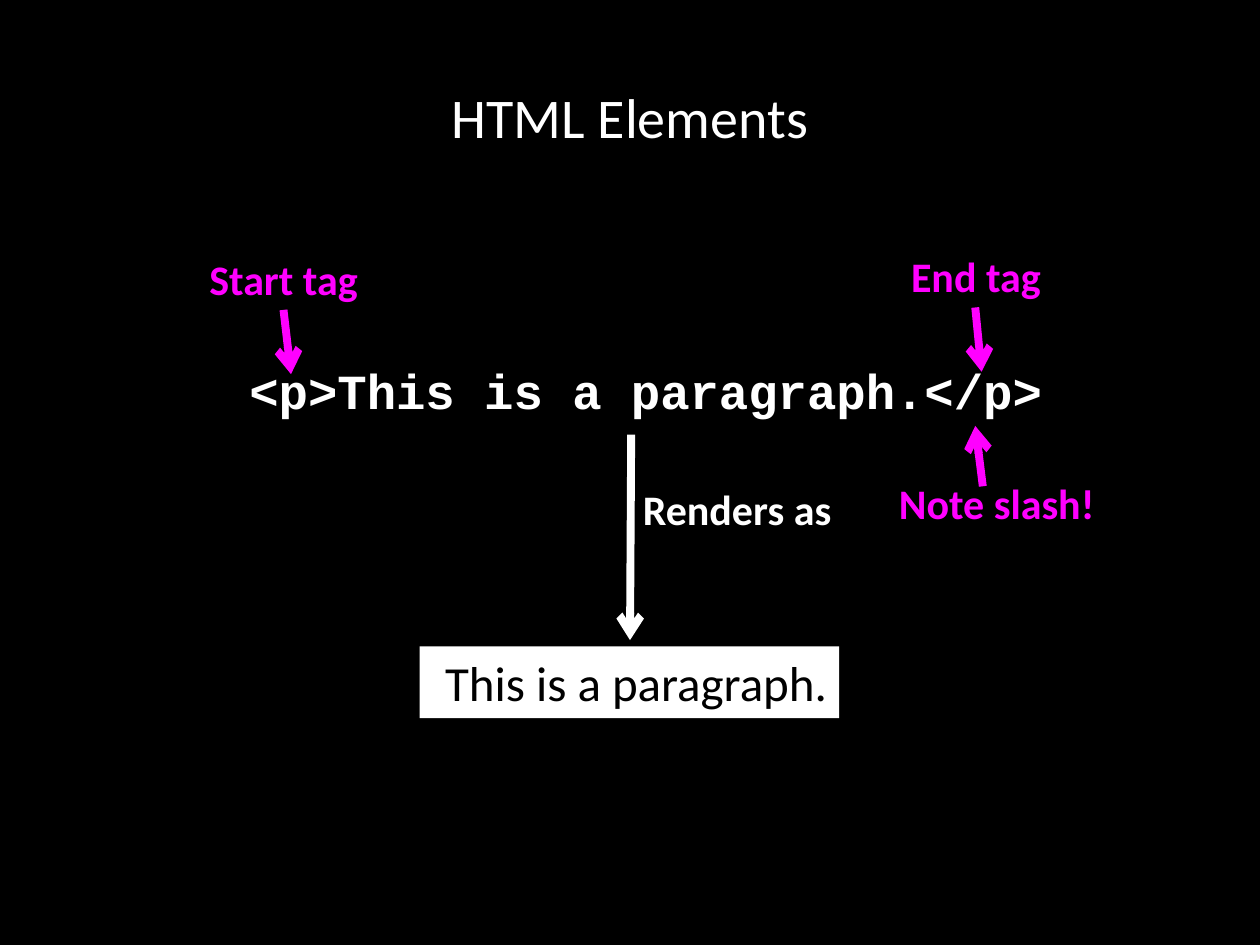
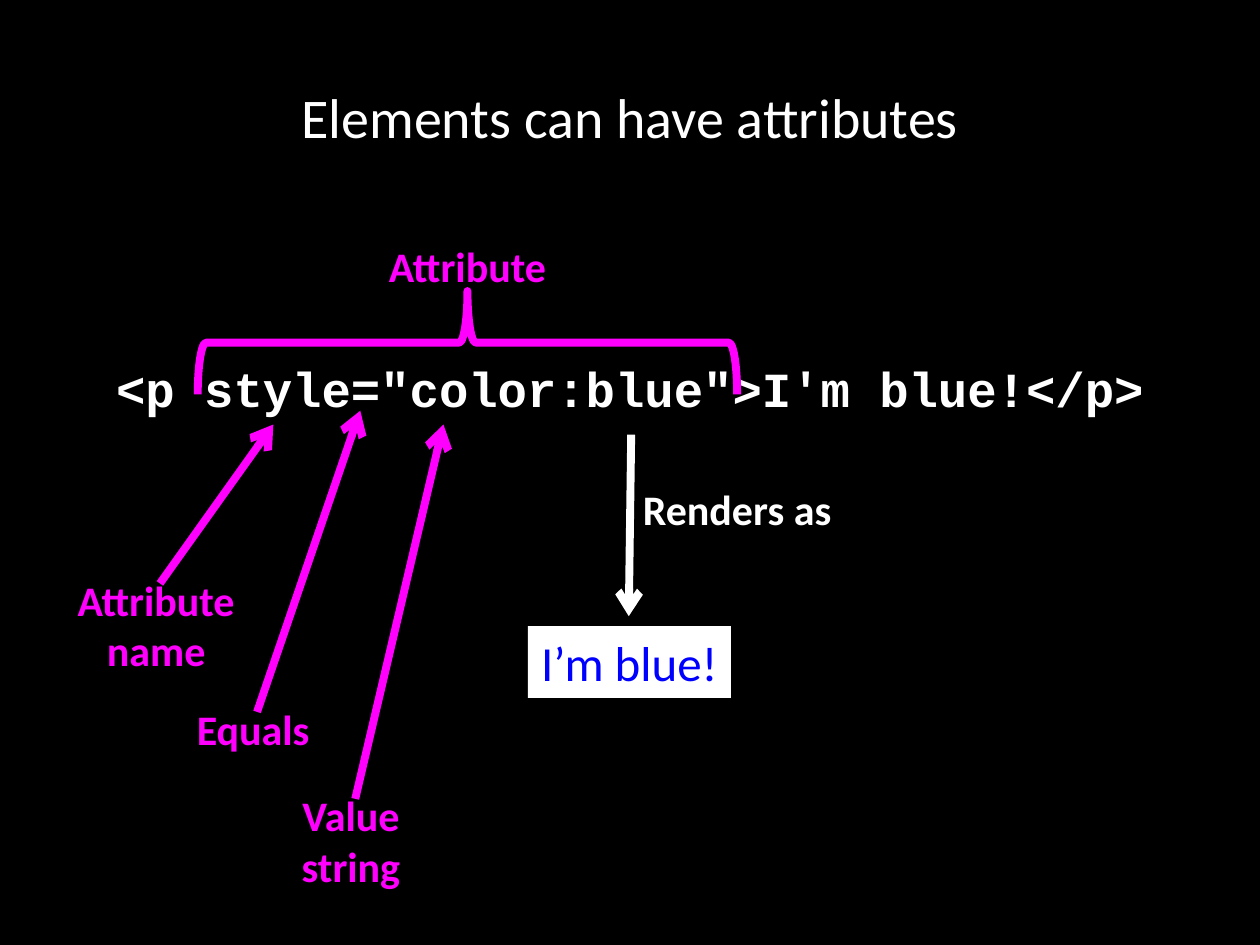
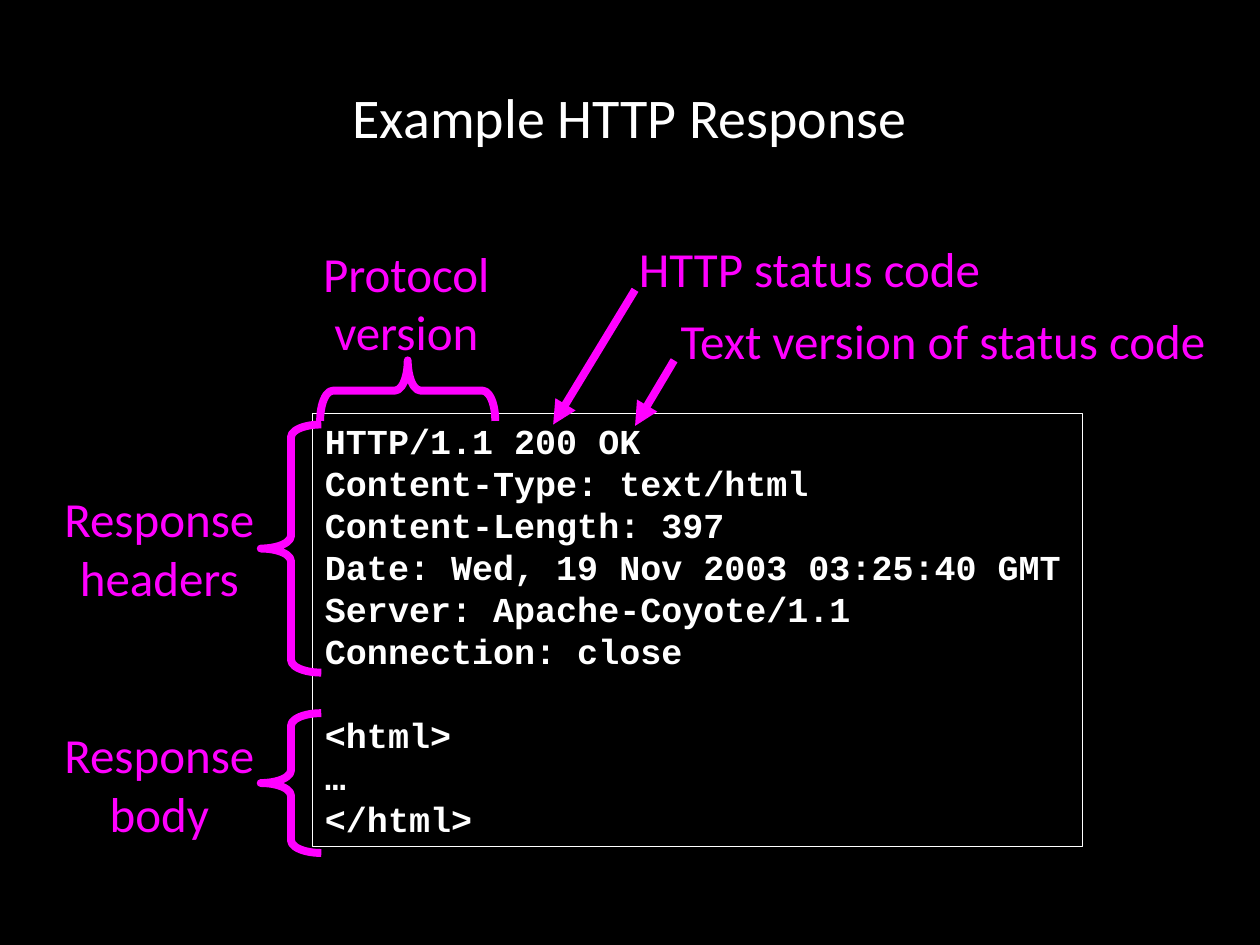
from lxml import etree
from pptx import Presentation
from pptx.dml.color import RGBColor
from pptx.enum.shapes import MSO_CONNECTOR, MSO_SHAPE
from pptx.enum.text import MSO_ANCHOR, PP_ALIGN
from pptx.oxml.ns import qn
from pptx.util import Pt

STRAIGHT = MSO_CONNECTOR.STRAIGHT
LEFT_BRACE = MSO_SHAPE.LEFT_BRACE
LEFT, CENTER, RIGHT = PP_ALIGN.LEFT, PP_ALIGN.CENTER, PP_ALIGN.RIGHT
MIDDLE = MSO_ANCHOR.MIDDLE

BLACK = RGBColor(0x00, 0x00, 0x00)
WHITE = RGBColor(0xFF, 0xFF, 0xFF)
MAGENTA = RGBColor(0xFF, 0x00, 0xFF)
BLUE = RGBColor(0x00, 0x00, 0xFF)

BODY_FONT = "Calibri"
CODE_FONT = "Courier New"
STROKE = Pt(4.5)
TITLE_ONLY = 5

RESPONSE = """HTTP/1.1 200 OK
Content-Type: text/html
Content-Length: 397
Date: Wed, 19 Nov 2003 03:25:40 GMT
Server: Apache-Coyote/1.1
Connection: close

<html>
…
</html>"""


def place(shape, box):
    shape.left, shape.top, shape.width, shape.height = map(Pt, box)


def write(frame, text, size=28, color=WHITE, font=BODY_FONT, bold=False,
          align=CENTER, wrap=False):
    frame.word_wrap = wrap
    for index, line in enumerate(text.split("\n")):
        paragraph = frame.paragraphs[0] if index == 0 else frame.add_paragraph()
        paragraph.alignment = align
        run = paragraph.add_run()
        run.text = line
        run.font.size = Pt(size)
        run.font.name = font
        run.font.bold = bold
        run.font.color.rgb = color


def add_titled_slide(prs, title):
    slide = prs.slides.add_slide(prs.slide_layouts[TITLE_ONLY])
    place(slide.shapes.title, (36, 21.6, 648, 90))
    frame = slide.shapes.title.text_frame
    frame.vertical_anchor = MIDDLE
    write(frame, title, size=32, wrap=True)
    return slide


def add_text(slide, text, box, fill=None, outline=None, **style):
    label = slide.shapes.add_textbox(*map(Pt, box))
    if fill is not None:
        label.fill.solid()
        label.fill.fore_color.rgb = fill
    if outline is not None:
        label.line.color.rgb = outline
        label.line.width = Pt(0.75)
    write(label.text_frame, text, **style)


def add_note(slide, text, box, color=MAGENTA):
    add_text(slide, text, box, size=24, color=color, bold=True)


def add_arrow(slide, start, end, color=MAGENTA, head="arrow"):
    arrow = slide.shapes.add_connector(STRAIGHT, *map(Pt, start + end))
    arrow.line.color.rgb = color
    arrow.line.width = STROKE
    etree.SubElement(arrow.line._get_or_add_ln(), qn("a:tailEnd"), type=head)
    etree.SubElement(arrow._element.spPr, qn("a:effectLst"))


def add_brace(slide, box, curl=0.21, upward=False):
    left, top, width, height = box
    if upward:
        shift = (width - height) / 2
        box = (left + shift, top - shift, height, width)
    brace = slide.shapes.add_shape(LEFT_BRACE, *map(Pt, box))
    brace.rotation = 90 if upward else 0
    brace.adjustments[0] = curl
    brace.shadow.inherit = False
    brace.fill.background()
    brace.line.color.rgb = MAGENTA
    brace.line.width = STROKE


def add_rendering(slide, end):
    add_arrow(slide, (360.7, 248.4), end, color=WHITE)
    add_note(slide, "Renders as", (360, 272.9, 122.4, 36), color=WHITE)


def build_elements(prs):
    slide = add_titled_slide(prs, "HTML Elements")
    add_text(slide, "<p>This is a paragraph.</p>", (118.8, 202.3, 483.8, 41),
             font=CODE_FONT, bold=True, align=RIGHT, wrap=True)
    for text, box, start, end in (
        ("Start tag", (112.3, 141.1, 99.4, 36), (162, 177.1), (166.3, 213.8)),
        ("End tag", (513.4, 139.7, 88.6, 36), (557.3, 175.7), (560.9, 212.4)),
        ("Note slash!", (506.2, 269.3, 126.7, 36), (561.6, 277.9), (557.3, 243.4)),
    ):
        add_note(slide, text, box)
        add_arrow(slide, start, end)
    add_text(slide, "This is a paragraph.", (239.8, 369.4, 239.8, 41),
             fill=WHITE, color=BLACK, align=RIGHT, wrap=True)
    add_rendering(slide, (360, 365.8))


def build_attributes(prs):
    slide = add_titled_slide(prs, "Elements can have attributes")
    add_text(slide, "<p style=\"color:blue\">I'm blue!</p>", (0, 201.6, 720, 41),
             font=CODE_FONT, bold=True, wrap=True)
    add_text(slide, "I’m blue!", (301.7, 357.8, 115.9, 41), fill=WHITE, color=BLUE)
    add_rendering(slide, (359.3, 352.1))
    add_note(slide, "Attribute", (214.6, 133.9, 105.1, 36))
    add_brace(slide, (113, 166.3, 308.2, 59), curl=0.08, upward=True)
    for text, box, start, end in (
        ("Attribute\nname", (36.7, 324.7, 105.1, 64.8), (91.4, 333.4), (156.2, 242.6)),
        ("Equals", (105.1, 398.2, 79.2, 36), (146.9, 406.8), (205.9, 234.7)),
        ("Value\nstring", (164.9, 447.8, 71.3, 64.8), (203, 456.5), (253.4, 242.6)),
    ):
        add_note(slide, text, box)
        add_arrow(slide, start, end)


def build_response(prs):
    slide = add_titled_slide(prs, "Example HTTP Response")
    add_text(slide, RESPONSE, (178.6, 236.2, 439.9, 247.7), fill=BLACK, outline=WHITE,
             size=20, font=CODE_FONT, bold=True, align=LEFT, wrap=True)
    for text, box in (
        ("HTTP status code", (357.8, 132.5, 209.5, 41)),
        ("Text version of status code", (379.4, 174.2, 319, 41)),
        ("Protocol\nversion", (177.1, 135.4, 110.2, 74.9)),
        ("Response\nheaders", (29.5, 275.8, 123.1, 74.9)),
        ("Response\nbody", (29.5, 410.4, 123.1, 74.9)),
    ):
        add_text(slide, text, box, color=MAGENTA)
    add_brace(slide, (182.9, 205.9, 100.1, 34.6), upward=True)
    for top, height in ((242.6, 141.8), (407.5, 79.9)):
        add_brace(slide, (149, top, 34.6, height))
    add_arrow(slide, (362.9, 165.6), (316.1, 242.6), head="triangle")
    add_arrow(slide, (385.2, 205.9), (362.9, 243.4), head="triangle")


def main():
    prs = Presentation()
    prs.slide_width, prs.slide_height = Pt(720), Pt(540)
    background = prs.slide_master.background.fill
    background.solid()
    background.fore_color.rgb = BLACK
    build_elements(prs)
    build_attributes(prs)
    build_response(prs)
    prs.save("out.pptx")


if __name__ == "__main__":
    main()
